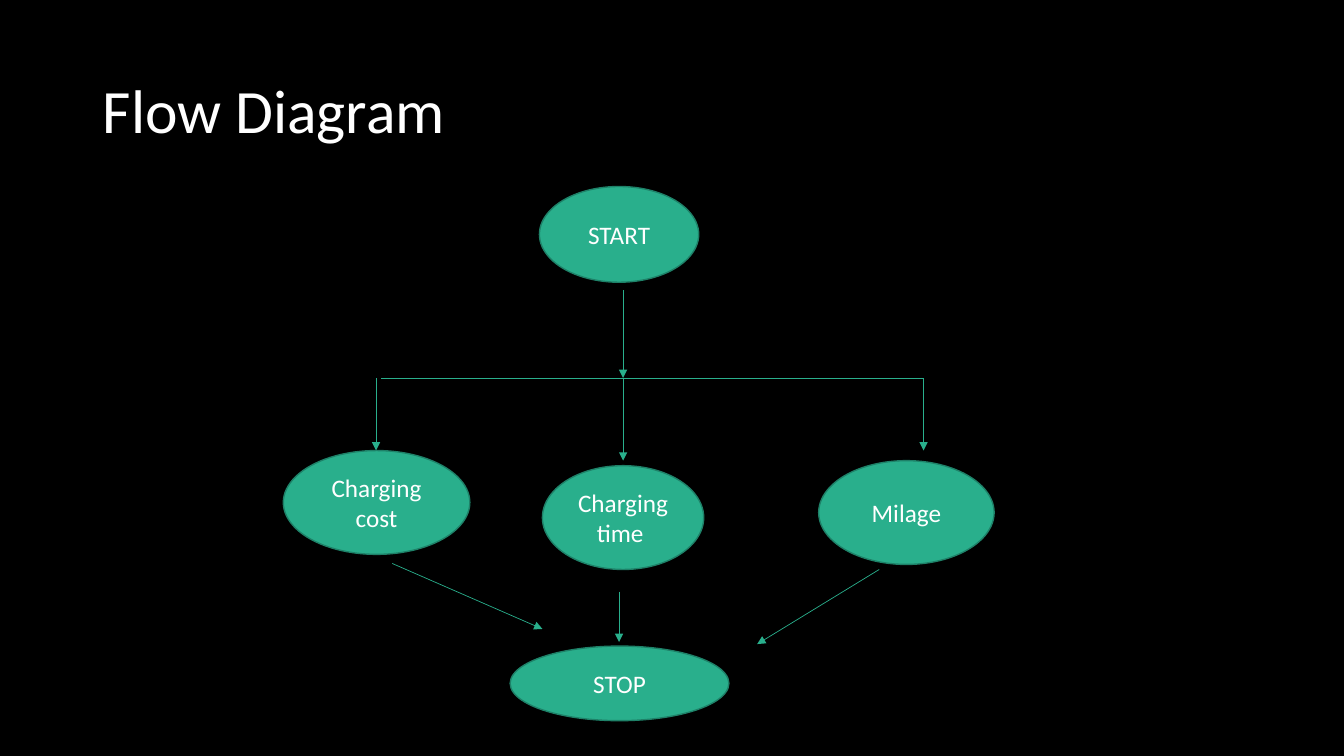
import dataclasses

import pptx
import pptx.dml.color
import pptx.enum.shapes
import pptx.enum.text
import pptx.oxml.ns
import pptx.util
from lxml import etree

EMU_PER_PX = 9144  # 100 px to the inch


@dataclasses.dataclass(frozen=True)
class Theme:
    background: str = "000000"
    text: str = "FFFFFF"
    accent: str = "29AF8C"
    outline: str = "1E8168"
    font: str = "Calibri"
    title_size: int = 44
    label_size: int = 18
    outline_width: float = 1
    arrow_width: float = 0.5


THEME = Theme()
BRANCH_Y = 375
BRANCH_ARROW_END = 447
CENTER_X = 618
RIGHT_X = 916

NODES = [
    ("START", 535, 185, 158, 95),
    ("Charging cost", 281, 447, 185, 103),
    ("Charging time ", 538, 462, 160, 103),
    ("Milage", 812, 457, 174, 103),
    ("STOP", 506, 641, 217, 74),
]

ARROWS = [
    (CENTER_X, 288, CENTER_X, BRANCH_Y),
    (373, BRANCH_Y, 373, BRANCH_ARROW_END),
    (CENTER_X, BRANCH_Y, CENTER_X, 457),
    (RIGHT_X, BRANCH_Y, RIGHT_X, BRANCH_ARROW_END),
    (389, 559, 538, 624),
    (614, 587, 614, 637),
    (872, 565, 751, 639),
]


def px(length):
    return pptx.util.Emu(length * EMU_PER_PX)


def rgb(color):
    return pptx.dml.color.RGBColor.from_string(color)


def write_text(shape, text, size, alignment):
    frame = shape.text_frame
    frame.word_wrap = True
    frame.vertical_anchor = pptx.enum.text.MSO_ANCHOR.MIDDLE
    paragraph = frame.paragraphs[0]
    paragraph.alignment = alignment
    run = paragraph.add_run()
    run.text = text
    run.font.name = THEME.font
    run.font.size = pptx.util.Pt(size)
    run.font.color.rgb = rgb(THEME.text)
    return paragraph


def add_title(slide, text):
    title = slide.shapes.title
    title.left, title.top, title.width, title.height = map(px, (92, 40, 1150, 145))
    paragraph = write_text(title, text, THEME.title_size, pptx.enum.text.PP_ALIGN.LEFT)
    paragraph.line_spacing = 0.9


def add_node(slide, text, left, top, width, height):
    node = slide.shapes.add_shape(
        pptx.enum.shapes.MSO_SHAPE.OVAL, px(left), px(top), px(width), px(height)
    )
    node.shadow.inherit = False
    node.fill.solid()
    node.fill.fore_color.rgb = rgb(THEME.accent)
    node.line.color.rgb = rgb(THEME.outline)
    node.line.width = pptx.util.Pt(THEME.outline_width)
    write_text(node, text, THEME.label_size, pptx.enum.text.PP_ALIGN.CENTER)


def add_line(slide, start_x, start_y, end_x, end_y, arrow=True):
    connector = slide.shapes.add_connector(
        pptx.enum.shapes.MSO_CONNECTOR.STRAIGHT,
        px(start_x), px(start_y), px(end_x), px(end_y),
    )
    connector.line.color.rgb = rgb(THEME.accent)
    connector.line.width = pptx.util.Pt(THEME.arrow_width)
    qualified = pptx.oxml.ns.qn
    if arrow:
        line = connector.line._get_or_add_ln()
        etree.SubElement(line, qualified("a:tailEnd"), type="triangle")
    etree.SubElement(connector._element.spPr, qualified("a:effectLst"))


def main():
    presentation = pptx.Presentation()
    presentation.slide_width = px(1333)
    presentation.slide_height = px(750)
    title_only = presentation.slide_layouts.get_by_name("Title Only")
    slide = presentation.slides.add_slide(title_only)
    slide.background.fill.solid()
    slide.background.fill.fore_color.rgb = rgb(THEME.background)

    add_title(slide, "Flow Diagram")
    add_line(slide, 378, BRANCH_Y, RIGHT_X, BRANCH_Y, arrow=False)
    for node in NODES:
        add_node(slide, *node)
    for arrow in ARROWS:
        add_line(slide, *arrow)
    presentation.save("out.pptx")


if __name__ == "__main__":
    main()
